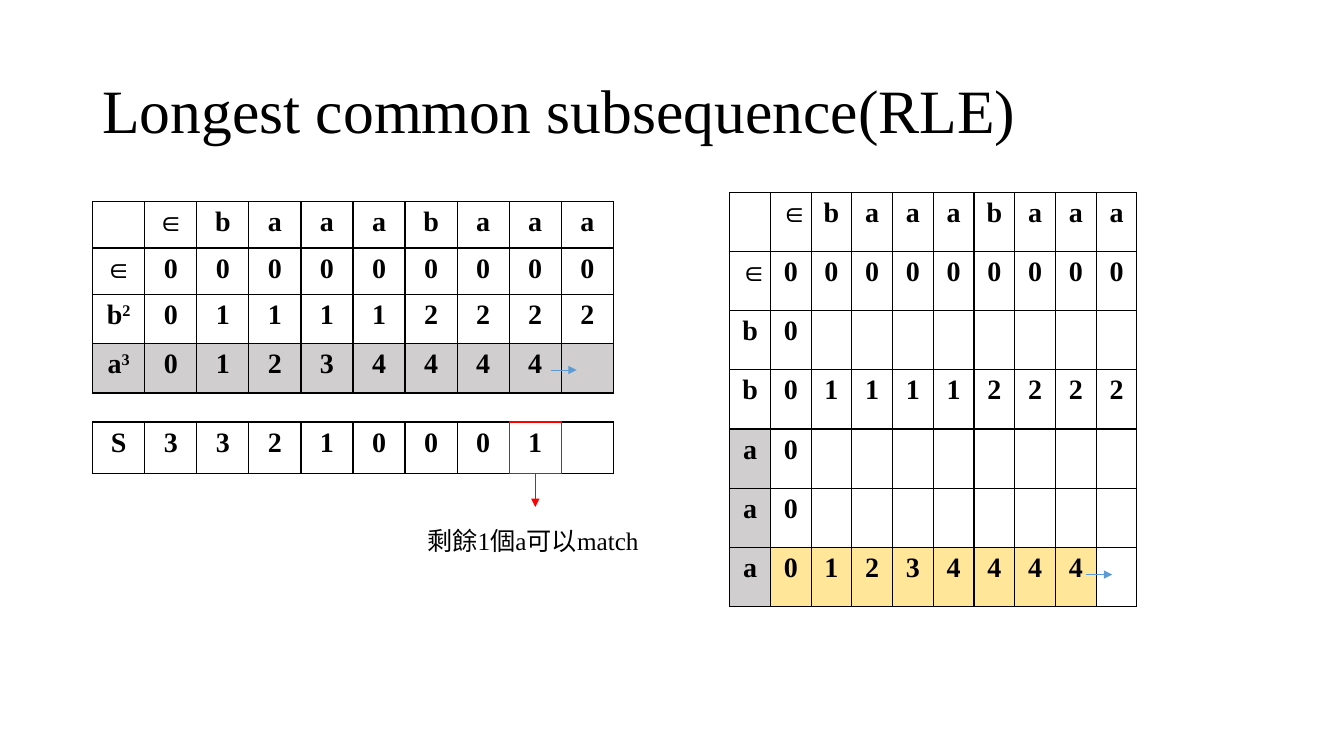
from lxml.etree import SubElement
from pptx import Presentation
from pptx.dml.color import RGBColor
from pptx.enum.shapes import MSO_CONNECTOR, MSO_SHAPE
from pptx.enum.text import MSO_ANCHOR, PP_ALIGN
from pptx.oxml.ns import qn
from pptx.util import Pt

# Content: cells separated by commas, ^ marks a superscript
TITLE = "Longest common subsequence(RLE)"
NOTE = "剩餘1個a可以match"
HEADER = ",∈,b,a,a,a,b,a,a,a"
ZEROS = "∈,0,0,0,0,0,0,0,0,0"
START_ONLY = ",0,,,,,,,,"
RLE_ROWS = [HEADER, ZEROS, "b^2,0,1,1,1,1,2,2,2,2", "a^3,0,1,2,3,4,4,4,4,"]
S_ROWS = ["S,3,3,2,1,0,0,0,1,"]
FULL_ROWS = [HEADER, ZEROS, "b" + START_ONLY, "b,0,1,1,1,1,2,2,2,2",
             "a" + START_ONLY, "a" + START_ONLY, "a,0,1,2,3,4,4,4,4,"]

FONT = "Times New Roman"
BLACK, RED, BLUE = "000000", "FF0000", "5B9BD5"
GRAY, YELLOW = "D0CECE", "FFE699"

# Cell fills by (row, column)
RLE_FILLS = {(3, c): GRAY for c in range(10)}
FULL_FILLS = {(r, 0): GRAY for r in (4, 5, 6)}
FULL_FILLS.update({(6, c): YELLOW for c in range(1, 9)})

# Layout in points
LEFT, COL = 66.2, 37.2
S_TOP, S_HEIGHT = 301.5, 36.7
MATCH_COL = 8

prs = Presentation()
prs.slide_width, prs.slide_height = Pt(960), Pt(540)
s = prs.slides.add_slide(prs.slide_layouts[6])


def rgb(value):
    return RGBColor.from_string(value)


def style(r, size, bold=False):
    r.font.name, r.font.size, r.font.bold = FONT, Pt(size), bold
    r.font.color.rgb = rgb(BLACK)


def add_text(text, x, y, w, h, size, anchor=MSO_ANCHOR.TOP, spacing=1.0):
    tf = s.shapes.add_textbox(Pt(x), Pt(y), Pt(w), Pt(h)).text_frame
    tf.word_wrap, tf.vertical_anchor = True, anchor
    tf.text = text
    p = tf.paragraphs[0]
    p.line_spacing = spacing
    style(p.runs[0], size)


def add_borders(cell):
    tc_pr = cell._tc.get_or_add_tcPr()
    for i, side in enumerate(("a:lnL", "a:lnR", "a:lnT", "a:lnB")):
        ln = tc_pr.makeelement(qn(side), {"w": str(Pt(1))})
        fill = SubElement(ln, qn("a:solidFill"))
        SubElement(fill, qn("a:srgbClr"), val=BLACK)
        tc_pr.insert(i, ln)


def fill_cell(cell, text, color):
    if color:
        cell.fill.solid()
        cell.fill.fore_color.rgb = rgb(color)
    else:
        cell.fill.background()
    add_borders(cell)
    p = cell.text_frame.paragraphs[0]
    p.alignment = PP_ALIGN.CENTER
    p.font.size = Pt(20)
    base, _, power = text.partition("^")
    for part in filter(None, (base, power)):
        r = p.add_run()
        r.text = part
        style(r, 20, True)
    if power:
        r.font._element.set("baseline", "30000")


def add_grid(rows, x, y, col_width, heights, fills):
    frame = s.shapes.add_table(len(rows), 10, Pt(x), Pt(y),
                               Pt(col_width * 10), Pt(sum(heights)))
    table = frame.table
    table.first_row = table.horz_banding = False
    for col in table.columns:
        col.width = Pt(col_width)
    for i, (row, height) in enumerate(zip(rows, heights)):
        table.rows[i].height = Pt(height)
        for j, text in enumerate(row.split(",")):
            fill_cell(table.cell(i, j), text, fills.get((i, j)))


def add_arrow(x1, y1, x2, y2, color):
    line = s.shapes.add_connector(MSO_CONNECTOR.STRAIGHT,
                                  Pt(x1), Pt(y1), Pt(x2), Pt(y2))
    line.line.color.rgb, line.line.width = rgb(color), Pt(0.5)
    SubElement(line.line._get_or_add_ln(), qn("a:tailEnd"), type="triangle")
    SubElement(line._element.spPr, qn("a:effectLst"))


# Title and tables
add_text(TITLE, 66, 28.8, 828, 104.4, 44, MSO_ANCHOR.MIDDLE, 0.9)
add_grid(RLE_ROWS, LEFT, 144, COL, [33.2, 33.2, 35.2, 35.2], RLE_FILLS)
add_grid(S_ROWS, LEFT, S_TOP, COL, [S_HEIGHT], {})
add_grid(FULL_ROWS, 521.2, 137.5, 29.1, [42.25] * 7, FULL_FILLS)

# Marked cell with its note
match_x = LEFT + MATCH_COL * COL
sp = s.shapes.add_shape(MSO_SHAPE.RECTANGLE, Pt(match_x), Pt(S_TOP),
                        Pt(COL), Pt(S_HEIGHT))
sp.shadow.inherit = False
sp.fill.background()
sp.line.color.rgb, sp.line.width = rgb(RED), Pt(1)
arrow_x = match_x + COL / 2
add_arrow(arrow_x, S_TOP + S_HEIGHT, arrow_x, 362.2, RED)
add_text(NOTE, 298.1, 371.5, 228, 29, 18)

# Arrows into the next cell
for x, y in ((393.4, 264.3), (776, 410.4)):
    add_arrow(x, y, x + 18.5, y, BLUE)

prs.save("out.pptx")
